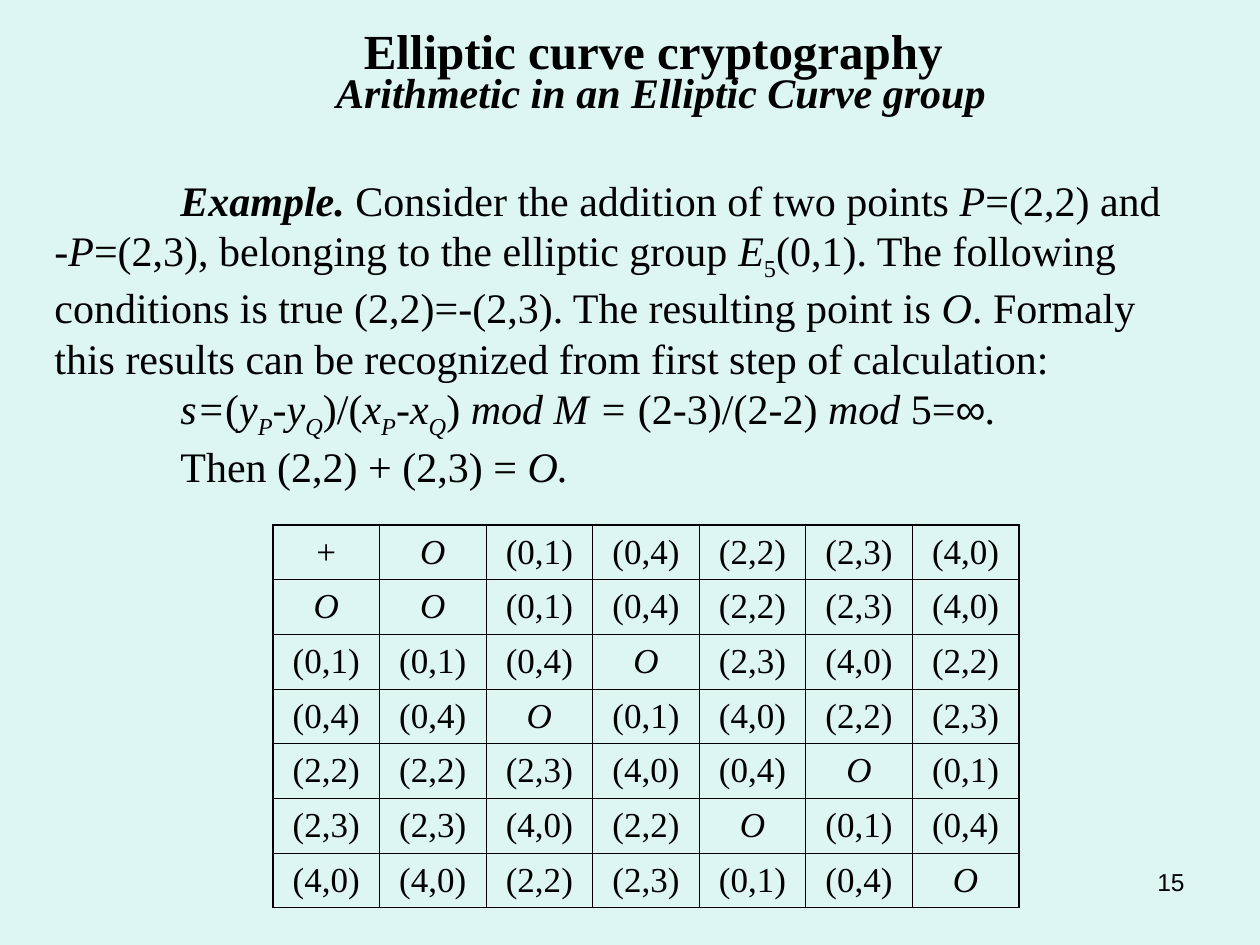
"""Build the slide on addition in an elliptic curve group."""
import pptx
import pptx.dml.color
import pptx.enum.text
import pptx.oxml
import pptx.oxml.ns
import pptx.util
from lxml import etree

Pt = pptx.util.Pt
ALIGN = pptx.enum.text.PP_ALIGN
COLOURS = {"background": "DEF6F1", "ink": "000000"}
SERIF = "Times New Roman"


def add_span(para, text, size, style="", face=SERIF):
    span = para.add_run()
    span.text = text
    span.font.size = Pt(size)
    span.font.name = face
    span.font.bold = "b" in style
    span.font.italic = "i" in style
    span.font.color.rgb = pptx.dml.color.RGBColor.from_string(COLOURS["ink"])
    if "s" in style:
        span._r.get_or_add_rPr().set("baseline", "-25000")


def add_box(page, left, top, width, height):
    box = page.shapes.add_textbox(Pt(left), Pt(top), Pt(width), Pt(height))
    box.text_frame.word_wrap = True
    return box.text_frame


deck = pptx.Presentation()
deck.slide_width, deck.slide_height = Pt(720), Pt(540)
page = deck.slides.add_slide(deck.slide_layouts[6])
page.background.fill.solid()
page.background.fill.fore_color.rgb = pptx.dml.color.RGBColor.from_string(COLOURS["background"])

number = add_box(page, 516, 492, 168, 37).paragraphs[0]
number.alignment = ALIGN.RIGHT
add_span(number, "15", 14, face="Arial")

title = add_box(page, 127.5, 16, 464.5, 54)
headings = [
    ("Elliptic curve cryptography", 28, "b", 27),
    ("Arithmetic in an Elliptic Curve group", 24, "bi", 36),
]
for index, (text, size, style, margin) in enumerate(headings):
    para = title.add_paragraph() if index else title.paragraphs[0]
    para.alignment = ALIGN.CENTER
    para.line_spacing = 0.75
    para._p.get_or_add_pPr().set("marL", str(Pt(margin)))
    add_span(para, text, size, style)

example = [
    [
        ("Example. ", "bi"),
        ("Consider the addition of two points ", ""),
        ("P", "i"),
        ("=(2,2) and ", ""),
        ("-P", "i"),
        ("=(2,3), belonging to the elliptic group ", ""),
        ("E", "i"),
        ("5", "s"),
        ("(0,1). The following conditions is true (2,2)=-(2,3). The resulting point is ", ""),
        ("O", "i"),
        (". Formaly this results can be recognized from first step of calculation:", ""),
    ],
    [
        ("s=", "i"), ("(", ""), ("y", "i"), ("P", "is"), ("-y", "i"), ("Q", "is"),
        (")/(", ""), ("x", "i"), ("P", "is"), ("-x", "i"), ("Q", "is"), (") ", ""),
        ("mod M = ", "i"), ("(2-3)/(2-2) ", ""), ("mod ", "i"), ("5=", ""),
        ("∞", ""), (".", "i"),
    ],
    [("Then (2,2) + (2,3) = ", ""), ("O.", "i")],
]
body = add_box(page, 24, 96, 660, 188)
for index, spans in enumerate(example):
    para = body.add_paragraph() if index else body.paragraphs[0]
    para._p.get_or_add_pPr().set("indent", str(Pt(72)))
    for text, style in spans:
        add_span(para, text, 24, style, "Arial" if text == "∞" else SERIF)

sums = [
    "+ O (0,1) (0,4) (2,2) (2,3) (4,0)",
    "O O (0,1) (0,4) (2,2) (2,3) (4,0)",
    "(0,1) (0,1) (0,4) O (2,3) (4,0) (2,2)",
    "(0,4) (0,4) O (0,1) (4,0) (2,2) (2,3)",
    "(2,2) (2,2) (2,3) (4,0) (0,4) O (0,1)",
    "(2,3) (2,3) (4,0) (2,2) O (0,1) (0,4)",
    "(4,0) (4,0) (2,2) (2,3) (0,1) (0,4) O",
]
count = len(sums)
heavy_lines = (0, 1, count)
table = page.shapes.add_table(count, count, Pt(156), Pt(300), Pt(426.3), Pt(218.4)).table
table.first_row = table.horz_banding = False
for index in range(count):
    table.columns[index].width = Pt(60.9)
    table.rows[index].height = Pt(31.2)

for row, line in enumerate(sums):
    for column, text in enumerate(line.split()):
        cell = table.cell(row, column)
        cell.vertical_anchor = pptx.enum.text.MSO_ANCHOR.MIDDLE
        para = cell.text_frame.paragraphs[0]
        para.alignment = ALIGN.CENTER
        add_span(para, text, 20, "i" if text == "O" else "")
        properties = cell._tc.get_or_add_tcPr()
        edges = {"lnL": column, "lnR": column + 1, "lnT": row, "lnB": row + 1}
        for tag, position in edges.items():
            width = Pt(0.96 if position in heavy_lines else 0.45)
            border = etree.SubElement(properties, pptx.oxml.ns.qn("a:" + tag), w=str(width))
            fill = etree.SubElement(border, pptx.oxml.ns.qn("a:solidFill"))
            etree.SubElement(fill, pptx.oxml.ns.qn("a:srgbClr"), val=COLOURS["ink"])
        cell.fill.background()

deck.save("out.pptx")
